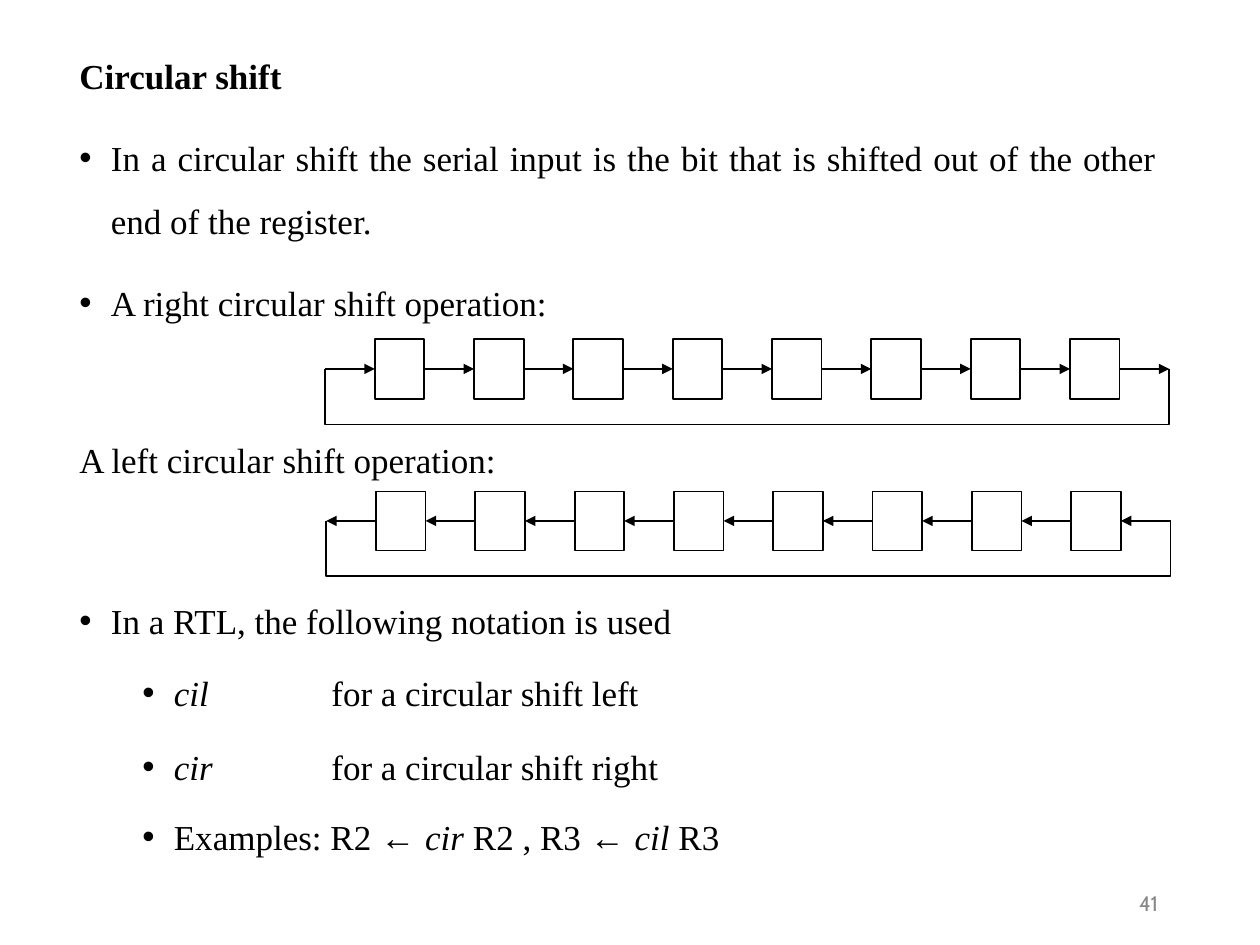
from lxml import etree
from pptx import Presentation
from pptx import util as u
from pptx.dml.color import RGBColor
from pptx.enum import shapes, text
from pptx.oxml.ns import qn

BODY_FONT = "Times New Roman"
BLACK = "000000"
BITS = 8
HANG = 0.25
LEFT = 0.63


def color(hex_code):
    return RGBColor.from_string(hex_code)


def outline(line):
    line.color.rgb = color(BLACK)
    line.width = u.Pt(1)


def add_bullet(paragraph):
    props = paragraph._p.get_or_add_pPr()
    props.set("marL", str(u.Inches(HANG)))
    props.set("indent", str(-u.Inches(HANG)))
    etree.SubElement(props, qn("a:buFont"), typeface="Arial")
    etree.SubElement(props, qn("a:buChar"), char="•")


def add_text(slide, box, lines, bullets=False, gap=0, size=20,
             font=BODY_FONT, ink=BLACK):
    """Each line is a list of (words, style) pairs; style holds b, i or a (Arial)."""
    frame = slide.shapes.add_textbox(*map(u.Inches, box)).text_frame
    frame.word_wrap = True
    frame.margin_left = frame.margin_right = frame.margin_bottom = 0
    frame.margin_top = u.Inches(0.02)
    for number, line in enumerate(lines):
        paragraph = frame.add_paragraph() if number else frame.paragraphs[0]
        if number:
            paragraph.space_before = u.Pt(gap)
        if bullets:
            add_bullet(paragraph)
        for words, style in line:
            run = paragraph.add_run()
            run.text = words
            run.font.name = "Arial" if "a" in style else font
            run.font.size = u.Pt(size)
            run.font.bold = "b" in style
            run.font.italic = "i" in style
            run.font.color.rgb = color(ink)
    return frame


def add_arrow(slide, start, end, y):
    arrow = slide.shapes.add_connector(
        shapes.MSO_CONNECTOR.STRAIGHT, *map(u.Inches, (start, y, end, y)))
    outline(arrow.line)
    etree.SubElement(arrow.line._get_or_add_ln(), qn("a:tailEnd"), type="triangle")
    etree.SubElement(arrow._element.spPr, qn("a:effectLst"))


def add_register(slide, box, to_right):
    """Bit cells alternate with arrows; a loop joins both ends below."""
    left, top, width, height = box
    step = width / (2 * BITS + 1)
    cell_height = 0.7 * height
    arrow_y = top + cell_height / 2
    for bit in range(BITS):
        cell = slide.shapes.add_shape(
            shapes.MSO_SHAPE.RECTANGLE,
            *map(u.Inches, (left + (2 * bit + 1) * step, top, step, cell_height)))
        cell.shadow.inherit = False
        cell.fill.background()
        outline(cell.line)
    for link in range(BITS + 1):
        ends = [left + 2 * link * step, left + (2 * link + 1) * step]
        add_arrow(slide, *(ends if to_right else ends[::-1]), arrow_y)

    right, bottom = left + width, top + height
    corners = [(left, arrow_y), (left, bottom), (right, bottom), (right, arrow_y)]
    points = [tuple(map(u.Inches, corner)) for corner in corners]
    builder = slide.shapes.build_freeform(*points[0])
    builder.add_line_segments(points[1:], close=False)
    loop = builder.convert_to_shape()
    loop.shadow.inherit = False
    loop.fill.background()
    outline(loop.line)


def add_introduction(slide, box):
    frame = add_text(slide, box, [
        [("Circular shift", "b")],
        [("In a circular shift the serial input is the bit that is shifted "
          "out of the other end of the register.", "")],
        [("A right circular shift operation:", "")],
    ], gap=11)
    for paragraph in frame.paragraphs[1:]:
        add_bullet(paragraph)
        paragraph.line_spacing = u.Pt(36)
        paragraph.alignment = text.PP_ALIGN.JUSTIFY


def add_notation(slide, box):
    left, top, width, height = box
    row = height / 4
    indent, meaning = left + 0.5, left + 2
    add_text(slide, (left, top, width, row),
             [[("In a RTL, the following notation is used", "")]], bullets=True)
    add_text(slide, (indent, top + row, 0.7, 2 * row),
             [[("cil", "i")], [("cir", "i")]], bullets=True, gap=18)
    add_text(slide, (meaning, top + row, 2.75, 2 * row),
             [[("for a circular shift left", "")],
              [("for a circular shift right", "")]], gap=18)
    add_text(slide, (indent, top + 3 * row, width, row),
             [[("Examples: R2 ", ""), ("← ", "a"), ("cir ", "i"), ("R2 , R3 ", ""),
               ("← ", "a"), ("cil ", "i"), ("R3", "")]], bullets=True)


def main():
    deck = Presentation()
    deck.slide_width, deck.slide_height = u.Inches(10), u.Inches(7.5)
    slide = deck.slides.add_slide(deck.slide_layouts[6])
    add_introduction(slide, (LEFT, 0.41, 8.55, 2.14))
    add_register(slide, (2.58, 2.69, 6.7, 0.68), to_right=True)
    add_text(slide, (LEFT, 3.46, 3.5, 0.36), [[("A left circular shift operation:", "")]])
    add_register(slide, (2.59, 3.9, 6.7, 0.67), to_right=False)
    add_notation(slide, (LEFT, 4.74, 4.85, 2.28))
    add_text(slide, (9.04, 7.05, 0.25, 0.2), [[("41", "")]],
             size=12, font="Cabin", ink="888888")
    deck.save("out.pptx")


if __name__ == "__main__":
    main()
